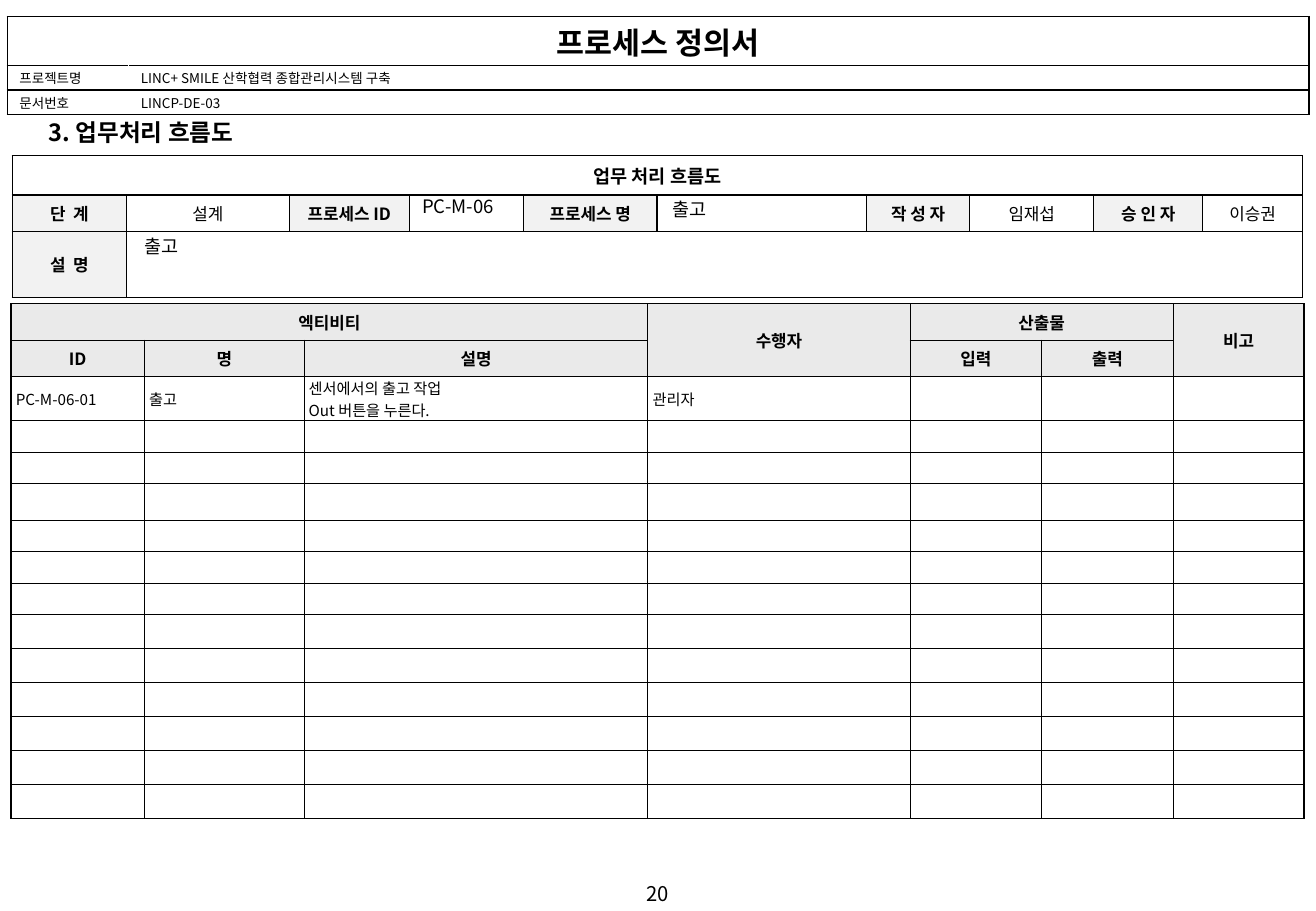
import pptx
import pptx.util
import pptx.dml.color
import pptx.enum.text
from lxml import etree

Pt = pptx.util.Pt
ALIGN = pptx.enum.text.PP_ALIGN
ANCHOR = pptx.enum.text.MSO_ANCHOR
FONT = "Noto Sans CJK KR"
NS = "http://schemas.openxmlformats.org/drawingml/2006/main"
COLORS = {"ink": "000000", "paper": "FFFFFF", "label": "F2F2F2", "head": "EAEAEA"}

# size, bold, centred, anchor, fill, side margin, top and bottom margin
STYLES = {
    "banner": (18, True, True, ANCHOR.TOP, "paper", 7.2, 1.4),
    "info": (8, False, False, ANCHOR.TOP, "paper", 7.2, 1.4),
    "title": (11, True, True, ANCHOR.MIDDLE, "paper", 7.2, 3.6),
    "label": (10, True, True, ANCHOR.MIDDLE, "label", 7.2, 3.6),
    "value": (10, False, True, ANCHOR.MIDDLE, "paper", 7.2, 3.6),
    "head": (10, True, True, ANCHOR.MIDDLE, "head", 7.2, 3.6),
    "body": (9, False, False, ANCHOR.MIDDLE, "paper", 2.9, 2.5),
    "note": (9, False, False, ANCHOR.MIDDLE, "paper", 2.5, 0),
}


def color(name):
    """Return the named colour."""
    return pptx.dml.color.RGBColor.from_string(COLORS[name])


def write(para, text, size, bold=False, align=ALIGN.LEFT):
    """Add one formatted run to a paragraph."""
    para.alignment = align
    run = para.add_run()
    run.text = text
    run.font.size = Pt(size)
    run.font.bold = bold
    run.font.name = FONT
    run.font.color.rgb = color("ink")
    etree.SubElement(run.font._element, f"{{{NS}}}ea", typeface=FONT)


def rule(cell, side, width, ink="ink"):
    """Draw one border of a cell."""
    line = etree.SubElement(cell._tc.get_or_add_tcPr(), f"{{{NS}}}ln{side}",
                            w=str(int(Pt(width))))
    fill = etree.SubElement(line, f"{{{NS}}}solidFill")
    etree.SubElement(fill, f"{{{NS}}}srgbClr", val=COLORS[ink])


def fill_cell(cell, text, style):
    """Fill a cell with styled text, one paragraph per line."""
    size, bold, center, anchor, fill, side, edge = STYLES[style]
    cell.fill.solid()
    cell.fill.fore_color.rgb = color(fill)
    cell.margin_left = cell.margin_right = Pt(side)
    cell.margin_top = cell.margin_bottom = Pt(edge)
    cell.vertical_anchor = anchor
    frame = cell.text_frame
    if not text:
        frame.paragraphs[0]._p.get_or_add_endParaRPr().set("sz", "800")
        return
    for num, part in enumerate(text.split("\n")):
        para = frame.add_paragraph() if num else frame.paragraphs[0]
        write(para, part, size, bold, ALIGN.CENTER if center else ALIGN.LEFT)


def add_grid(slide, spot, cols, rows, texts, style, spans, inner=0.75, blank=()):
    """Add a ruled table; style(row, col) names the style of a cell.

    Sides between the columns of the rows in blank are white.
    """
    shape = slide.shapes.add_table(len(rows), len(cols), Pt(spot[0]), Pt(spot[1]),
                                   Pt(sum(cols)), Pt(sum(rows)))
    table = shape.table
    table.first_row = table.horz_banding = False
    for col, width in zip(table.columns, cols):
        col.width = Pt(width)
    for row, height in zip(table.rows, rows):
        row.height = Pt(height)
    for top, left, low, right in spans:
        table.cell(top, left).merge(table.cell(low, right))
    for r in range(len(rows)):
        for c in range(len(cols)):
            cell = table.cell(r, c)
            first, last = c == 0, c == len(cols) - 1
            rule(cell, "L", 1 if first else inner,
                 "paper" if r in blank and not first else "ink")
            rule(cell, "R", inner, "paper" if r in blank and not last else "ink")
            rule(cell, "T", inner)
            rule(cell, "B", inner)
            fill_cell(cell, texts.get((r, c), ""), style(r, c))


def add_text(slide, text, box, size=11, align=ALIGN.LEFT):
    """Add a plain text box."""
    frame = slide.shapes.add_textbox(*map(Pt, box)).text_frame
    frame.word_wrap = True
    write(frame.paragraphs[0], text, size, align=align)


def set_title(slide, text, box):
    """Place and format the title placeholder."""
    title = slide.shapes.title
    title.left, title.top, title.width, title.height = map(Pt, box)
    frame = title.text_frame
    frame.word_wrap = False
    frame.auto_size = pptx.enum.text.MSO_AUTO_SIZE.NONE
    frame.vertical_anchor = ANCHOR.MIDDLE
    write(frame.paragraphs[0], text, 14, True)


def add_banner(slide):
    """Add the document header table."""
    texts = {(0, 0): "프로세스 정의서",
             (1, 0): "프로젝트명", (1, 1): "LINC+ SMILE 산학협력 종합관리시스템 구축",
             (2, 0): "문서번호", (2, 1): "LINCP-DE-03"}
    add_grid(slide, (4.3, 9.8), (72, 699.5), (29, 14.5, 14.5), texts,
             lambda r, c: "info" if r else "banner", [(0, 0, 0, 1)],
             inner=1, blank=(1, 2))


def add_summary(slide):
    """Add the process summary table."""
    labels = ("단  계", "설계", "프로세스 ID", "", "프로세스 명", "",
              "작 성 자", "임재섭", "승 인 자", "이승권")
    texts = {(1, c): text for c, text in enumerate(labels)}
    texts.update({(0, 0): "업무 처리 흐름도", (2, 0): "설  명"})

    def style(r, c):
        """Titles on top, labels in even columns, else values."""
        if r == 0:
            return "title"
        return "label" if c == 0 or (r == 1 and c % 2 == 0) else "value"

    cols = (67.6, 96.6, 71.1, 67.8, 79.1, 124.1, 61.3, 73.5, 64.6, 59.3)
    add_grid(slide, (7.3, 92.4), cols, (23.2, 21.6, 39.1), texts, style,
             [(0, 0, 0, 9), (2, 1, 2, 9)])


def add_steps(slide):
    """Add the activity table with its empty rows."""
    texts = {(0, 0): "엑티비티", (0, 3): "수행자", (0, 4): "산출물", (0, 6): "비고",
             (1, 0): "ID", (1, 1): "명", (1, 2): "설명", (1, 4): "입력", (1, 5): "출력",
             (2, 0): "PC-M-06-01", (2, 1): "출고",
             (2, 2): "센서에서의 출고 작업\nOut 버튼을 누른다.", (2, 3): "관리자"}

    def style(r, c):
        """Two head rows, then body cells and one note column."""
        if r < 2:
            return "head"
        return "note" if c == 2 else "body"

    cols = (79, 95, 203.5, 155.5, 78, 78, 77.5)
    rows = [21.6, 21.6, 26.1, 18.8, 18.6, 21.8] + [18.7] * 3 + [20.1] * 6
    add_grid(slide, (6.5, 180), cols, rows, texts, style,
             [(0, 0, 0, 2), (0, 3, 1, 3), (0, 4, 0, 5), (0, 6, 1, 6)])


def main():
    """Build the slide and save it."""
    deck = pptx.Presentation()
    deck.slide_width, deck.slide_height = Pt(780), Pt(540)
    slide = deck.slides.add_slide(deck.slide_layouts[5])
    add_text(slide, "20", (0, 519, 780, 21.6), 12, ALIGN.CENTER)
    add_banner(slide)
    add_summary(slide)
    add_steps(slide)
    set_title(slide, "3. 업무처리 흐름도", (21.6, 66.2, 141, 24.5))
    add_text(slide, "PC-M-06", (243.2, 112.2, 67, 21))
    add_text(slide, "출고", (391.5, 113.6, 123, 21))
    add_text(slide, "출고", (78.5, 136, 686, 21))
    deck.save("out.pptx")


main()
